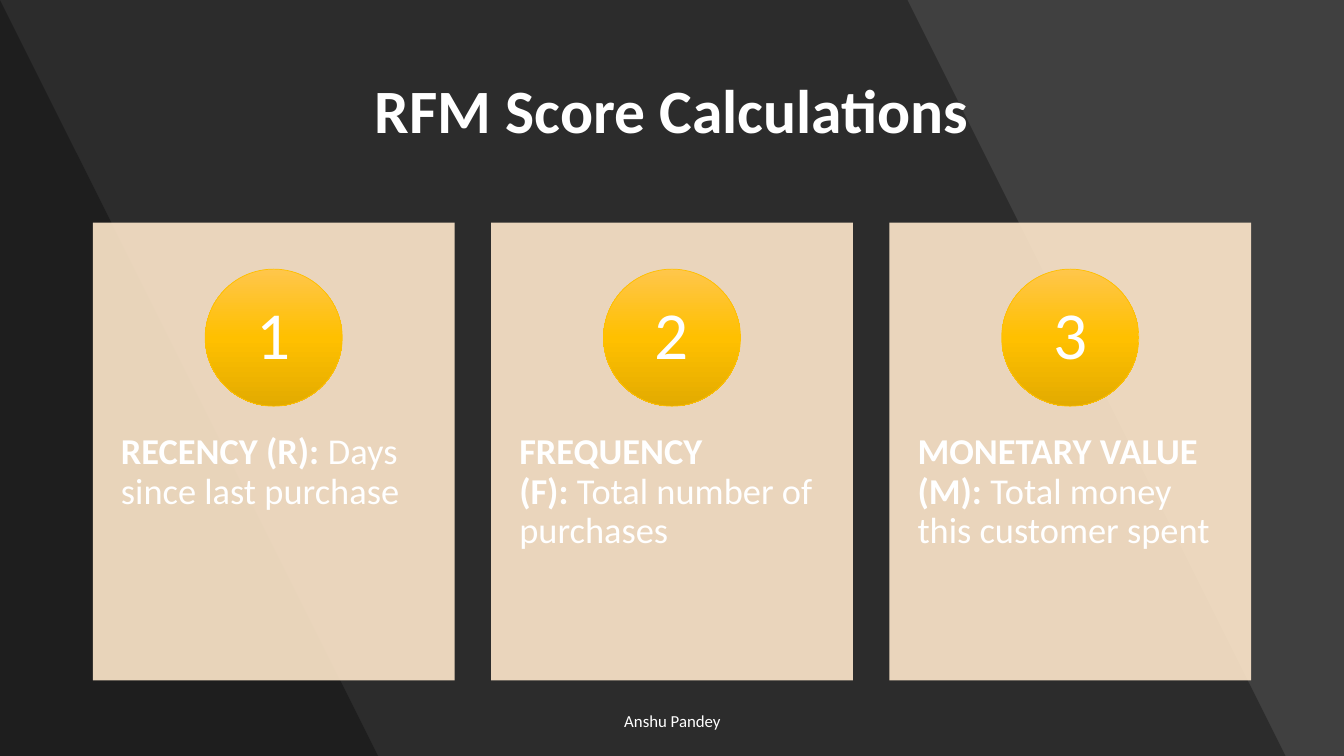
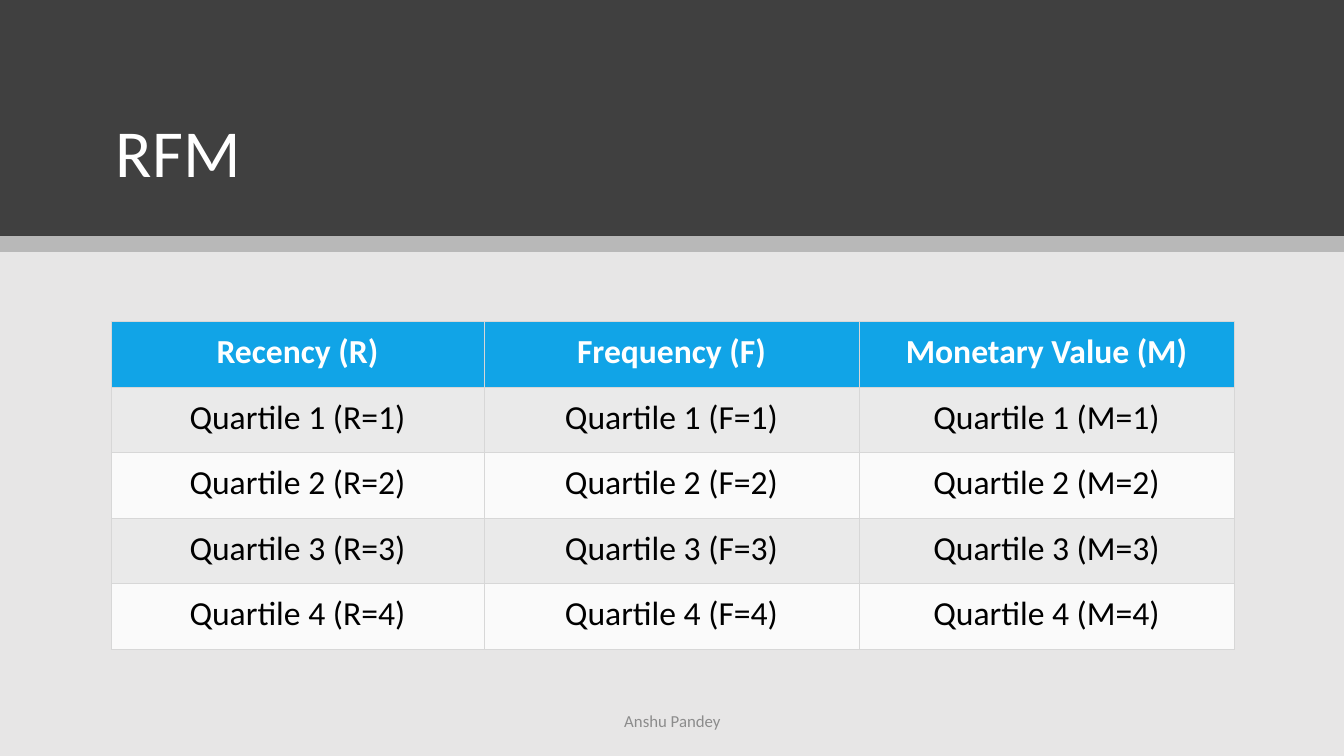
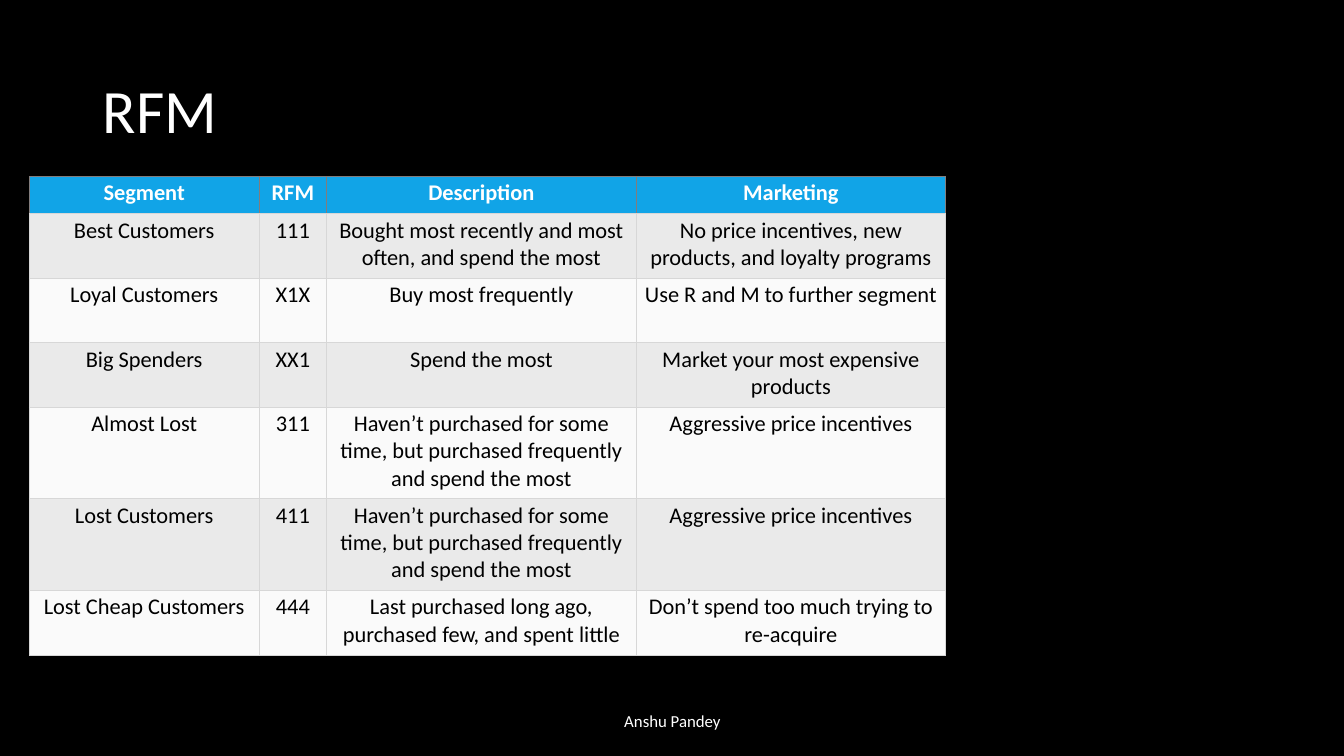
"""Build three slides on RFM customer scoring."""
from copy import deepcopy
from typing import NamedTuple, Optional, Sequence

from lxml import etree
from pptx import Presentation
from pptx.dml.color import RGBColor
from pptx.enum import shapes as kinds, text as t
from pptx.oxml.ns import qn
from pptx.util import Inches, Pt

FONT = "Calibri"
WHITE = RGBColor(0xFF, 0xFF, 0xFF)
BLACK = RGBColor(0x00, 0x00, 0x00)
CHARCOAL = RGBColor(0x40, 0x40, 0x40)
MIST = RGBColor(0xE7, 0xE6, 0xE6)
FOOTER_GREY = RGBColor(0x8C, 0x8C, 0x8C)
CREAM = RGBColor(0xFF, 0xE8, 0xCC)
GOLD = RGBColor(0xFF, 0xC0, 0x00)
GOLD_STOPS = (RGBColor(0xFF, 0xC6, 0x4B), GOLD, RGBColor(0xE3, 0xAB, 0x00))
HEADER_BLUE = RGBColor(0x11, 0xA4, 0xE7)
ROW_FILLS = (RGBColor(0xEA, 0xEA, 0xEA), RGBColor(0xFA, 0xFA, 0xFA))
GRID_GREY = RGBColor(0xD7, 0xD7, 0xD7)
HEADER_GREY = RGBColor(0x82, 0x7D, 0x7D)

WIDTH, HEIGHT = 13.33, 7.5
CARD_LEFT, CARD_TOP, CARD_WIDTH, CARD_HEIGHT, CARD_STEP = 0.92, 2.21, 3.59, 4.54, 3.95
CAPTION_TOP, CAPTION_HEIGHT = 3.94, 2.73
CIRCLE_TOP, CIRCLE_SIZE = 2.67, 1.36


class Box(NamedTuple):
    left: float
    top: float
    width: float
    height: float

    def lengths(self) -> list:
        return [Inches(value) for value in self]


class Style(NamedTuple):
    size: float
    color: RGBColor = WHITE
    bold: bool = False


class Card(NamedTuple):
    term: str
    meaning: str


class Grid(NamedTuple):
    left: float
    top: float
    columns: Sequence[float]
    heights: Sequence[float]
    size: float
    margins: tuple
    header_border: RGBColor


CARDS = (
    Card("RECENCY (R):", "\u00a0Days since last purchase"),
    Card("FREQUENCY (F):", "\u00a0Total number of purchases"),
    Card("MONETARY VALUE (M):", "\u00a0Total money this customer spent"),
)
QUARTILES = [["Recency (R)", "Frequency (F)", "Monetary Value (M)"]] + [
    [f"Quartile {rank} ({letter}={rank})" for letter in "RFM"] for rank in range(1, 5)
]
LAPSED = "Haven’t purchased for some time, but purchased frequently and spend the most"
SEGMENTS = [
    ["Segment", "RFM", "Description", "Marketing"],
    ["Best Customers", "111", "Bought\u00a0most recently and most often, and spend the most",
     "No price incentives, new products, and loyalty programs"],
    ["Loyal Customers", "X1X", "Buy most frequently", "Use R and M to further segment"],
    ["Big Spenders", "XX1", "Spend the most", "Market your most expensive products"],
    ["Almost Lost", "311", LAPSED, "Aggressive price incentives"],
    ["Lost Customers", "411", LAPSED, "Aggressive price incentives"],
    ["Lost Cheap Customers", "444", "Last purchased long ago, purchased few, and spent little",
     "Don’t spend too much trying to re-acquire"],
]
QUARTILE_GRID = Grid(1.1, 3.19, (3.7, 3.72, 3.72), (0.65,) * 5, 24, (0.11, 0.1), GRID_GREY)
SEGMENT_GRID = Grid(0.29, 1.75, (2.28, 0.67, 3.07, 3.07),
                    (0.37, 0.64, 0.64, 0.64, 0.91, 0.91, 0.64), 16, (0.03, 0.03), HEADER_GREY)


def add_span(para, words: str, style: Style) -> None:
    span = para.add_run()
    span.text = words
    span.font.name = FONT
    span.font.size = Pt(style.size)
    span.font.bold = style.bold
    span.font.color.rgb = style.color


def set_frame(frame, anchor, across: float = 0.1, down: float = 0.05) -> None:
    frame.word_wrap = True
    frame.auto_size = t.MSO_AUTO_SIZE.NONE
    frame.vertical_anchor = anchor
    frame.margin_left = frame.margin_right = Inches(across)
    frame.margin_top = frame.margin_bottom = Inches(down)


def set_fill(shape, color: RGBColor, opacity: int = 100) -> None:
    shape.shadow.inherit = False
    shape.fill.solid()
    shape.fill.fore_color.rgb = color
    shape.line.fill.background()
    set_opacity(shape, opacity)


def set_opacity(shape, opacity: int) -> None:
    if opacity < 100:
        for tint in shape._element.spPr.iter(qn("a:srgbClr")):
            etree.SubElement(tint, qn("a:alpha")).set("val", str(opacity * 1000))


def add_block(slide, box: Box, color: RGBColor, opacity: int = 100):
    block = slide.shapes.add_shape(kinds.MSO_SHAPE.RECTANGLE, *box.lengths())
    set_fill(block, color, opacity)
    return block


def add_slant(slide, top_edge: float, bottom_edge: float) -> None:
    builder = slide.shapes.build_freeform(0, 0, scale=Inches(1))
    builder.add_line_segments([(top_edge, 0), (bottom_edge, HEIGHT), (0, HEIGHT)], close=True)
    set_fill(builder.convert_to_shape(), BLACK, 30)


def add_slide(deck, background: RGBColor):
    slide = deck.slides.add_slide(deck.slide_layouts[5])
    slide.background.fill.solid()
    slide.background.fill.fore_color.rgb = background
    return slide


def set_title(slide, words: str, box: Box, style: Style, align=t.PP_ALIGN.LEFT,
              anchor=t.MSO_ANCHOR.MIDDLE) -> None:
    title = slide.shapes.title
    title._element.getparent().append(title._element)
    title.left, title.top, title.width, title.height = box.lengths()
    set_frame(title.text_frame, anchor)
    para = title.text_frame.paragraphs[0]
    para.alignment = align
    para.line_spacing = 0.9
    add_span(para, words, style)


def add_footer(slide, color: RGBColor = WHITE) -> None:
    footer = slide.shapes.add_textbox(*Box(4.42, 6.95, 4.5, 0.4).lengths())
    set_frame(footer.text_frame, t.MSO_ANCHOR.MIDDLE)
    para = footer.text_frame.paragraphs[0]
    para.alignment = t.PP_ALIGN.CENTER
    add_span(para, "Anshu Pandey", Style(12, color))


def add_number(slide, box: Box, number: int) -> None:
    circle = slide.shapes.add_shape(kinds.MSO_SHAPE.OVAL, *box.lengths())
    circle.shadow.inherit = False
    circle.fill.gradient()
    circle.fill.gradient_angle = 270
    stop_list = circle._element.spPr.find(qn("a:gradFill")).find(qn("a:gsLst"))
    stop_list.insert(1, deepcopy(stop_list[0]))
    for place, (stop, color) in enumerate(zip(circle.fill.gradient_stops, GOLD_STOPS)):
        stop.position = place / 2
        stop.color.rgb = color
    circle.line.color.rgb = GOLD
    circle.line.width = Pt(0.5)
    set_frame(circle.text_frame, t.MSO_ANCHOR.MIDDLE, 0.11, 0.01)
    para = circle.text_frame.paragraphs[0]
    para.alignment = t.PP_ALIGN.CENTER
    para.line_spacing = 0.9
    add_span(para, str(number), Style(48))


def add_card(slide, index: int, card: Card) -> None:
    left = CARD_LEFT + index * CARD_STEP
    add_block(slide, Box(left, CARD_TOP, CARD_WIDTH, CARD_HEIGHT), CREAM, 90)
    caption = slide.shapes.add_textbox(
        *Box(left, CAPTION_TOP, CARD_WIDTH, CAPTION_HEIGHT).lengths())
    set_frame(caption.text_frame, t.MSO_ANCHOR.TOP, 0.28, 0.36)
    para = caption.text_frame.paragraphs[0]
    para.line_spacing = 0.9
    add_span(para, card.term, Style(26, bold=True))
    add_span(para, card.meaning, Style(26))
    circle_left = left + (CARD_WIDTH - CIRCLE_SIZE) / 2
    add_number(slide, Box(circle_left, CIRCLE_TOP, CIRCLE_SIZE, CIRCLE_SIZE), index + 1)


def set_borders(cell, color: RGBColor) -> None:
    properties = cell._tc.get_or_add_tcPr()
    for side in "LRTB":
        edge = etree.SubElement(properties, qn(f"a:ln{side}"), w=str(Pt(0.6)))
        fill = etree.SubElement(edge, qn("a:solidFill"))
        shade = GRID_GREY if side == "B" else color
        etree.SubElement(fill, qn("a:srgbClr"), val=str(shade))


def fill_cell(cell, words: str, grid: Grid, row: int) -> None:
    header = row == 0
    set_borders(cell, grid.header_border if header else GRID_GREY)
    cell.fill.solid()
    cell.fill.fore_color.rgb = HEADER_BLUE if header else ROW_FILLS[(row - 1) % 2]
    across, down = grid.margins
    cell.margin_left = cell.margin_right = Inches(across)
    cell.margin_top = cell.margin_bottom = Inches(down)
    para = cell.text_frame.paragraphs[0]
    para.alignment = t.PP_ALIGN.CENTER
    add_span(para, words, Style(grid.size, WHITE if header else BLACK, header))


def add_grid(slide, grid: Grid, rows: Sequence[Sequence[str]]) -> None:
    box = Box(grid.left, grid.top, sum(grid.columns), sum(grid.heights))
    table = slide.shapes.add_table(len(rows), len(grid.columns), *box.lengths()).table
    for column, width in zip(table.columns, grid.columns):
        column.width = Inches(width)
    for row, words in enumerate(rows):
        table.rows[row].height = Inches(grid.heights[row])
        for column, word in enumerate(words):
            fill_cell(table.cell(row, column), word, grid, row)


def build_scores(deck) -> None:
    slide = add_slide(deck, CHARCOAL)
    add_slant(slide, 9.42, 12.89)
    add_slant(slide, 0.44, 3.92)
    set_title(slide, "RFM Score Calculations", Box(0.91, 0.4, 11.51, 1.45),
              Style(44, bold=True), t.PP_ALIGN.CENTER)
    for index, card in enumerate(CARDS):
        add_card(slide, index, card)
    add_footer(slide)


def build_quartiles(deck) -> None:
    slide = add_slide(deck, WHITE)
    add_block(slide, Box(0, 0, WIDTH, HEIGHT), MIST)
    add_block(slide, Box(0, 0, WIDTH, 2.34), CHARCOAL)
    add_block(slide, Box(0, 2.34, WIDTH, 0.16), BLACK, 20)
    set_title(slide, "RFM", Box(1.05, 0.47, 11.24, 1.49), Style(48),
              anchor=t.MSO_ANCHOR.BOTTOM)
    add_grid(slide, QUARTILE_GRID, QUARTILES)
    add_footer(slide, FOOTER_GREY)


def build_segments(deck) -> None:
    slide = add_slide(deck, BLACK)
    set_title(slide, "RFM", Box(0.92, 0.4, 11.5, 1.45), Style(44))
    add_grid(slide, SEGMENT_GRID, SEGMENTS)
    add_footer(slide)


def main() -> None:
    deck = Presentation()
    deck.slide_width, deck.slide_height = Inches(WIDTH), Inches(HEIGHT)
    for build in (build_scores, build_quartiles, build_segments):
        build(deck)
    deck.save("out.pptx")


main()
